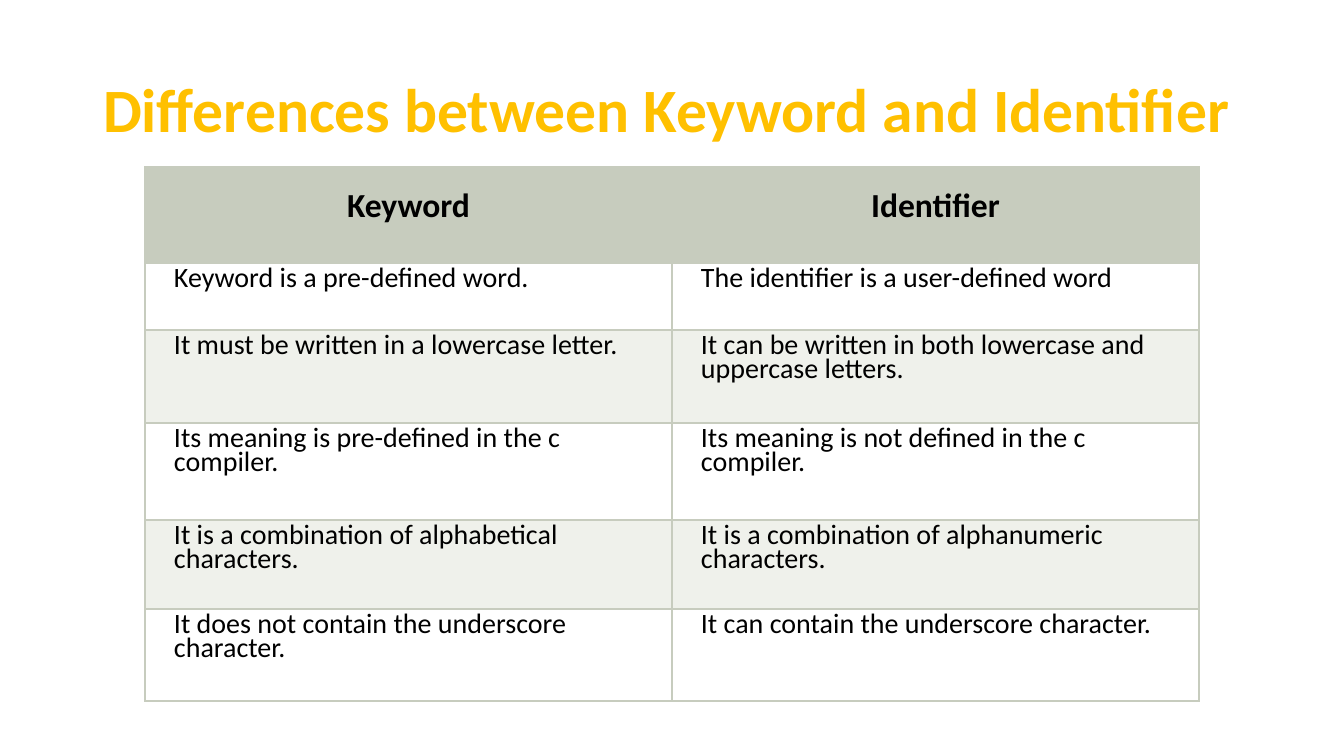
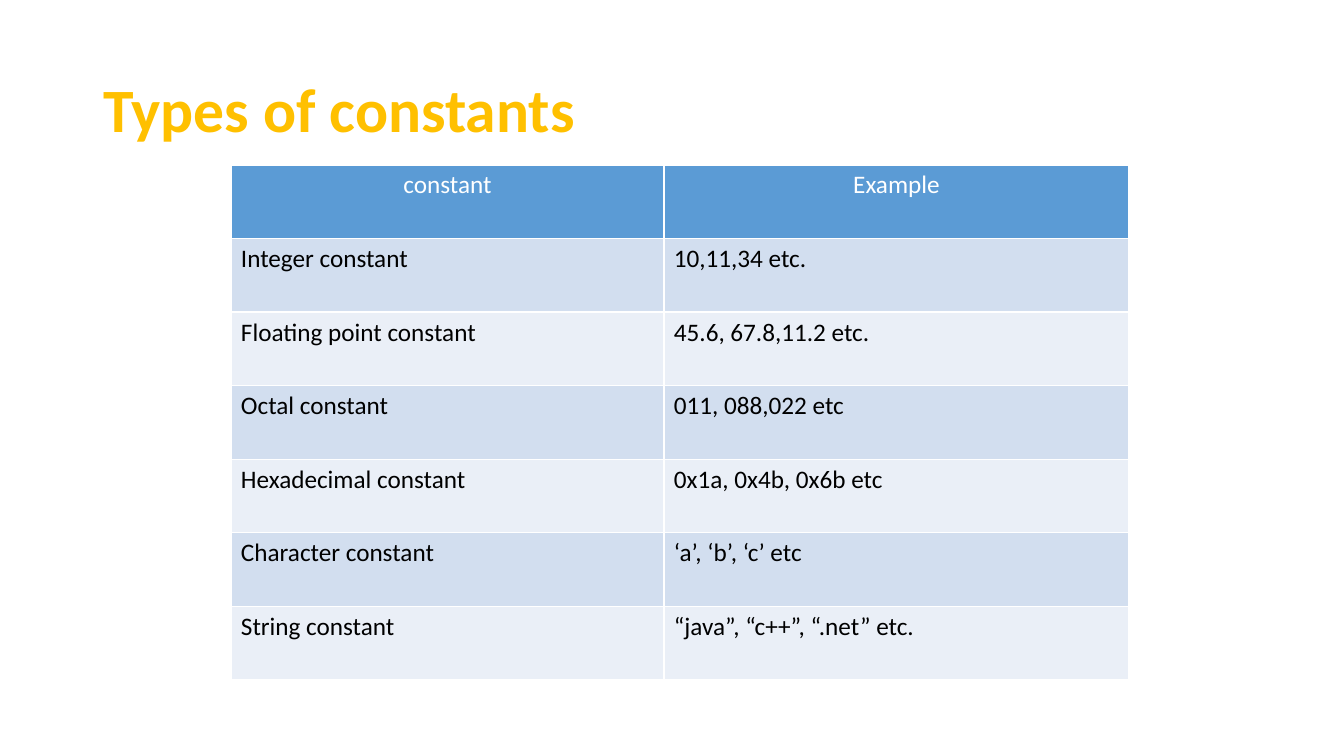
from dataclasses import dataclass

from lxml.etree import SubElement
from pptx import Presentation
from pptx.dml.color import RGBColor
from pptx.enum.text import MSO_ANCHOR as Anchor, PP_ALIGN as Align
from pptx.oxml.ns import qn
from pptx.util import Emu, Pt

# Content: the first row of each table is its header
KEYWORD_ROWS = [
    ("Keyword", "Identifier"),
    ("Keyword is a pre-defined word.", "The identifier is a user-defined word"),
    ("It must be written in a lowercase letter.",
     "It can be written in both lowercase and uppercase letters."),
    ("Its meaning is pre-defined in the c compiler.",
     "Its meaning is not defined in the c compiler."),
    ("It is a combination of alphabetical characters.",
     "It is a combination of alphanumeric characters."),
    ("It does not contain the underscore character.",
     "It can contain the underscore character."),
]
CONSTANT_ROWS = [
    ("constant", "Example"),
    ("Integer constant", "10,11,34 etc."),
    ("Floating point constant", "45.6, 67.8,11.2 etc."),
    ("Octal constant", "011, 088,022 etc"),
    ("Hexadecimal constant", "0x1a, 0x4b, 0x6b etc"),
    ("Character constant", "‘a’, ‘b’, ‘c’ etc"),
    ("String constant", "“java”, “c++”, “.net” etc."),
]


# Theme
@dataclass(frozen=True)
class Theme:
    font: str = "Calibri"
    title: str = "FFC000"
    title_size: int = 44
    text: str = "000000"
    white: str = "FFFFFF"
    sage: str = "C7CCBE"
    sage_light: str = "EFF1EB"
    blue: str = "5B9BD5"
    blue_mid: str = "D2DEEF"
    blue_light: str = "EAEFF7"


THEME = Theme()
SLIDE_SIZE = (1344, 756)
TITLE_BOX = (93, 40, 1159, 146)

# Table looks: margins are (side, top and bottom) in pixels
SAGE_LOOK = dict(
    border=THEME.sage, header_fill=THEME.sage, bands=(THEME.white, THEME.sage_light),
    header_margins=(12, 13), body_margins=(8, 8),
    header=dict(size=24, bold=True, align=Align.CENTER, spacing=1.15, after=10),
    body=dict(size=20, indent=21, spacing=Pt(17.2), after=10),
)
BLUE_LOOK = dict(
    border=THEME.white, header_fill=THEME.blue, bands=(THEME.blue_mid, THEME.blue_light),
    header_margins=(10, 5), body_margins=(10, 5),
    header=dict(size=18, color=THEME.white, align=Align.CENTER),
    body=dict(size=18),
)


def px(pixels):
    return Emu(round(pixels * 914400 / 100.8))


def write(frame, text, *, size, color=THEME.text, bold=False, align=Align.LEFT,
          spacing=1.0, after=0, indent=0):
    paragraph = frame.paragraphs[0]
    paragraph.alignment = align
    paragraph.line_spacing = spacing
    paragraph.space_before, paragraph.space_after = Pt(0), Pt(after)
    if indent:
        paragraph._p.get_or_add_pPr().set("marL", str(px(indent)))
    run = paragraph.add_run()
    run.text = text
    run.font.name, run.font.size, run.font.bold = THEME.font, Pt(size), bold
    run.font.color.rgb = RGBColor.from_string(color)


def draw_borders(cell, color):
    properties = cell._tc.get_or_add_tcPr()
    for side in ("lnL", "lnR", "lnT", "lnB"):
        line = SubElement(properties, qn(f"a:{side}"), w=str(Pt(1)))
        SubElement(SubElement(line, qn("a:solidFill")), qn("a:srgbClr"), val=color)


def add_titled_slide(title, align=Align.LEFT):
    slide = deck.slides.add_slide(deck.slide_layouts[5])
    heading = slide.shapes.title
    heading.left, heading.top, heading.width, heading.height = map(px, TITLE_BOX)
    heading.text_frame.word_wrap = True
    heading.text_frame.vertical_anchor = Anchor.MIDDLE
    write(heading.text_frame, title, size=THEME.title_size, color=THEME.title,
          bold=True, align=align, spacing=0.9)
    return slide


def add_grid(slide, rows, left, top, widths, heights, look):
    table = slide.shapes.add_table(len(rows), len(widths), px(left), px(top),
                                   px(sum(widths)), px(sum(heights))).table
    table.first_row = table.horz_banding = False
    for column, width in zip(table.columns, widths):
        column.width = px(width)
    for number, (row, height, texts) in enumerate(zip(table.rows, heights, rows)):
        row.height = px(height)
        part = "body" if number else "header"
        fill = look["bands"][(number - 1) % 2] if number else look["header_fill"]
        side, end = map(px, look[f"{part}_margins"])
        for cell, text in zip(row.cells, texts):
            cell.margin_left = cell.margin_right = side
            cell.margin_top = cell.margin_bottom = end
            draw_borders(cell, look["border"])
            cell.fill.solid()
            cell.fill.fore_color.rgb = RGBColor.from_string(fill)
            write(cell.text_frame, text, **look[part])


deck = Presentation()
deck.slide_width, deck.slide_height = map(px, SLIDE_SIZE)

# Slide 1: keyword against identifier
differences = add_titled_slide("Differences between Keyword and Identifier", Align.JUSTIFY)
add_grid(differences, KEYWORD_ROWS, 145, 167, [527] * 2, [96, 67, 93, 97, 89, 92], SAGE_LOOK)

# Slide 2: constants with examples, rows of equal height
constants = add_titled_slide("Types of constants")
row_height = 515 / len(CONSTANT_ROWS)
add_grid(constants, CONSTANT_ROWS, 231, 165, [433, 465],
         [row_height] * len(CONSTANT_ROWS), BLUE_LOOK)

deck.save("out.pptx")
